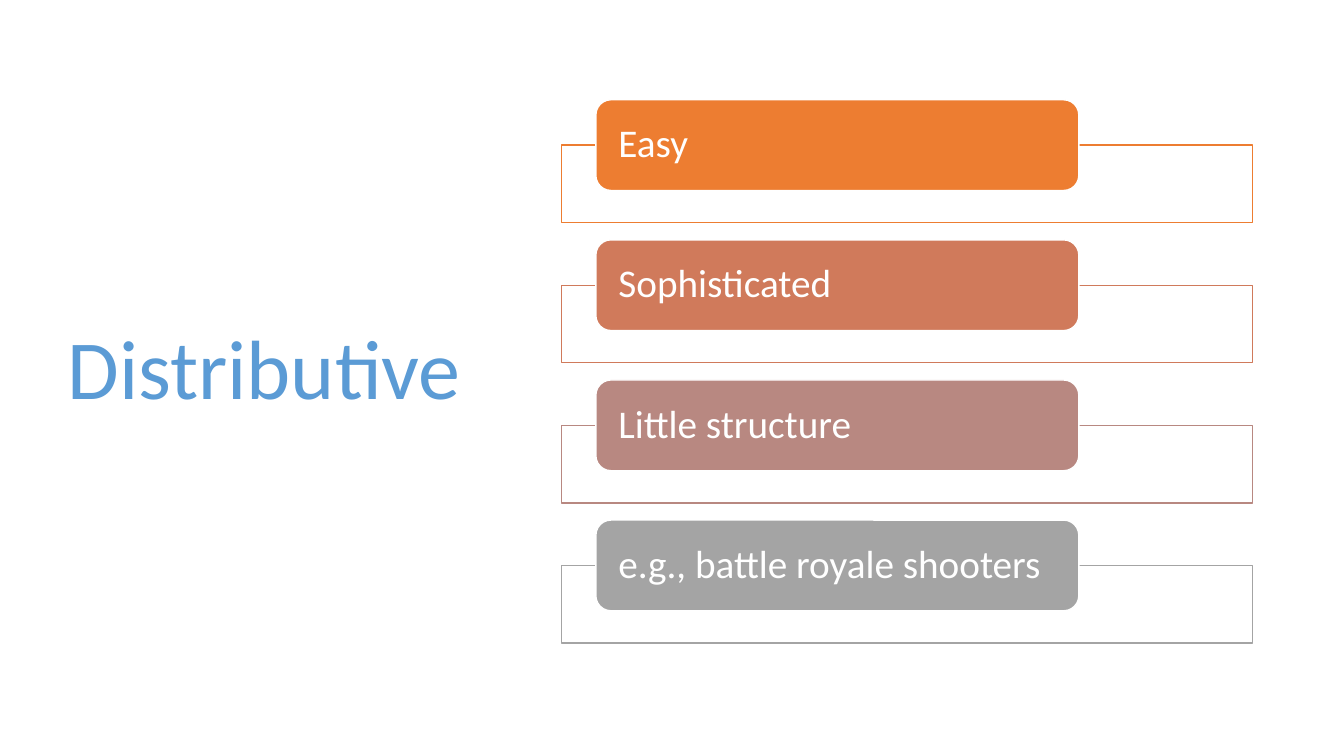
"""Build the "Distributive" slide: a title beside four labelled bars."""
from lxml import etree
from pptx import Presentation
from pptx.dml.color import RGBColor
from pptx.enum.shapes import MSO_SHAPE
from pptx.enum.text import MSO_ANCHOR, PP_ALIGN
from pptx.oxml.ns import qn
from pptx.util import Inches, Pt

RECT, ROUND = MSO_SHAPE.RECTANGLE, MSO_SHAPE.ROUNDED_RECTANGLE
MIDDLE, LEFT = MSO_ANCHOR.MIDDLE, PP_ALIGN.LEFT

TITLE = "Distributive"
TITLE_COLOR, WHITE = "5B9BD5", "FFFFFF"
TRAITS = [
    ("Easy", "ED7D31"),
    ("Sophisticated", "D07A5B"),
    ("Little structure", "B88881"),
    ("e.g., battle royale shooters", "A4A4A4"),
]
TOP, PITCH = 0.99, 1.39
FRAME_X, FRAME_DY, FRAME_W, FRAME_H = 5.57, 0.45, 6.85, 0.77
LABEL_X, LABEL_W, LABEL_H = 5.91, 4.79, 0.9


def rgb(color):
    return RGBColor.from_string(color)


def add_box(s, kind, x, y, w, h, fill, line):
    sp = s.shapes.add_shape(kind, Inches(x), Inches(y), Inches(w), Inches(h))
    sp.shadow.inherit = False
    sp.fill.solid()
    sp.fill.fore_color.rgb = rgb(fill)
    sp.line.color.rgb = rgb(line)
    sp.line.width = Pt(1)
    return sp


def set_text(sp, text, size, color, side, edge):
    tf = sp.text_frame
    tf.word_wrap = True
    tf.vertical_anchor = MIDDLE
    tf.margin_left = tf.margin_right = Inches(side)
    tf.margin_top = tf.margin_bottom = Inches(edge)
    p = tf.paragraphs[0]
    p.text = text
    p.alignment = LEFT
    p.line_spacing = 0.9
    p.font.name = "Calibri"
    p.font.size = Pt(size)
    p.font.color.rgb = rgb(color)


def main():
    prs = Presentation()
    prs.slide_width, prs.slide_height = Inches(13.33), Inches(7.5)
    s = prs.slides.add_slide(prs.slide_layouts[6])

    title = s.shapes.add_textbox(Inches(0.57), Inches(0.68), Inches(4.16), Inches(6.02))
    set_text(title, TITLE, 60, TITLE_COLOR, 0.1, 0.05)

    for i, (text, color) in enumerate(TRAITS):
        y = TOP + i * PITCH
        frame = add_box(s, RECT, FRAME_X, y + FRAME_DY, FRAME_W, FRAME_H, WHITE, color)
        fill = frame.fill._xPr.find(qn("a:solidFill"))
        etree.SubElement(fill[0], qn("a:alpha"), val="90000")
        label = add_box(s, ROUND, LABEL_X, y, LABEL_W, LABEL_H, color, WHITE)
        label.adjustments[0] = 0.167
        set_text(label, text, 28, WHITE, 0.18, 0)

    prs.save("out.pptx")


if __name__ == "__main__":
    main()
